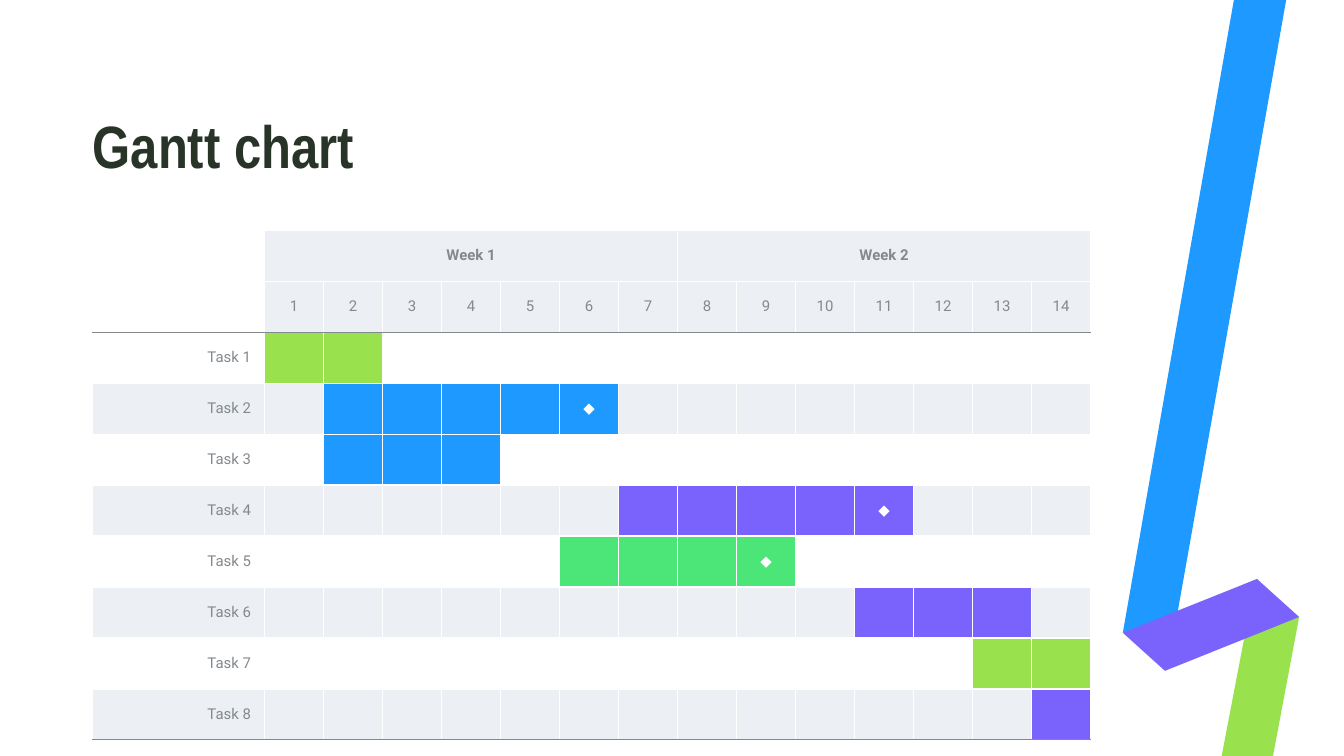
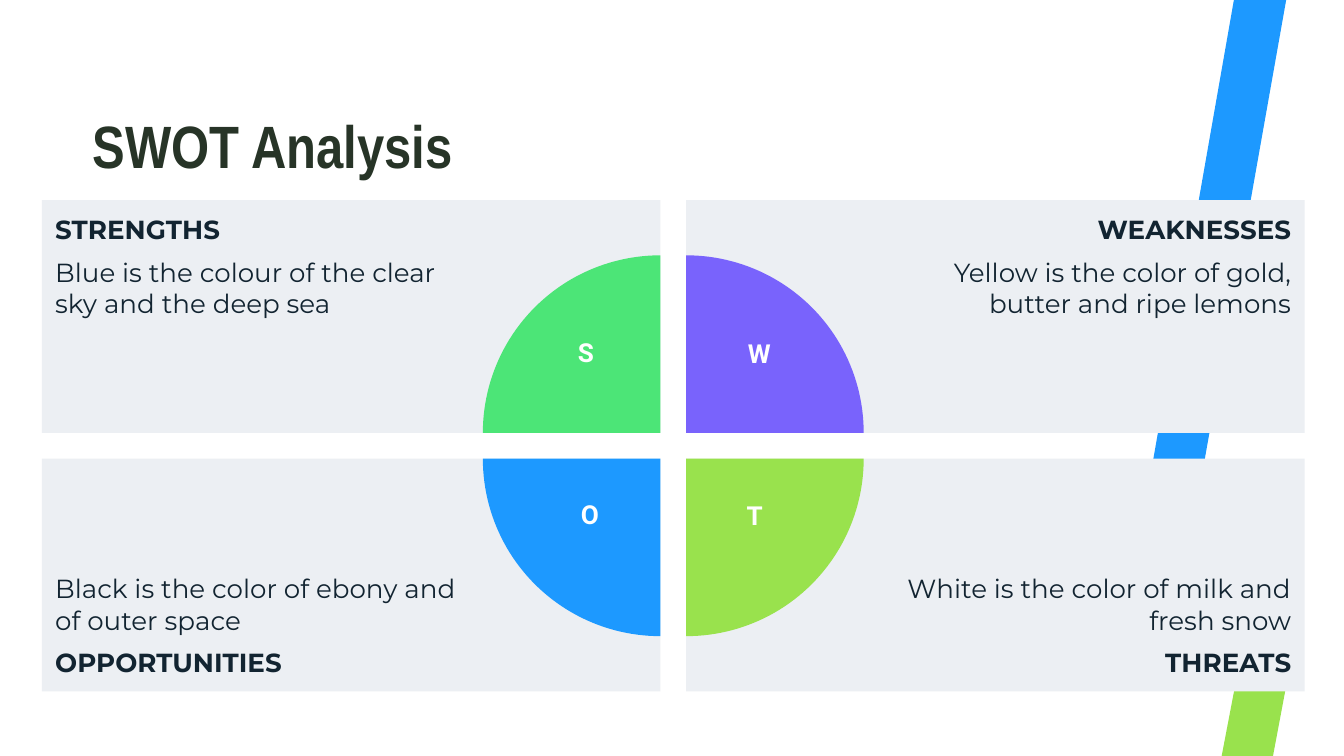
"""Build a Gantt chart slide and a SWOT slide that share a ribbon and a title style."""
import dataclasses
import itertools
import typing

import lxml.etree
import pptx
import pptx.dml.color
import pptx.enum.shapes
import pptx.enum.text
import pptx.oxml.ns
import pptx.shapes.autoshape
import pptx.slide
import pptx.table
import pptx.text.text
import pptx.util

Pt = pptx.util.Pt
qn = pptx.oxml.ns.qn
ALIGN = pptx.enum.text.PP_ALIGN
ANCHOR = pptx.enum.text.MSO_ANCHOR
SHAPE = pptx.enum.shapes.MSO_SHAPE


@dataclasses.dataclass(frozen=True)
class Theme:
    blue: str = "1D99FF"
    lime: str = "99E24D"
    violet: str = "7963FC"
    green: str = "4CE577"
    pale: str = "ECEFF3"
    grey: str = "84898D"
    white: str = "FFFFFF"
    title_ink: str = "273427"
    body_ink: str = "122431"
    title_font: str = "Arial Narrow"
    body_font: str = "Montserrat"
    label_font: str = "Roboto"
    title_size: float = 32
    body_size: float = 14
    table_size: float = 8
    border: float = 0.75


T = Theme()


class Box(typing.NamedTuple):
    x: float
    y: float
    w: float
    h: float

    def emu(self) -> list[int]:
        return [Pt(v) for v in self]


class Band(typing.NamedTuple):
    color: str
    points: list[tuple[float, float]]


class Task(typing.NamedTuple):
    first: int
    last: int
    color: str
    milestone: bool = False


class Quadrant(typing.NamedTuple):
    letter: str
    heading: str
    body: str
    color: str
    col: int
    row: int
    turn: int
    letter_box: Box


BLUE_BAND = Band(T.blue, [(661, 0), (689, 0), (630.8, 328.4), (601.5, 339)])
LIME_BAND = Band(T.lime, [(654.5, 405), (666.7, 341.3), (696, 330.6), (682, 405)])
FOLD = Band(T.violet, [(601.5, 339), (673.4, 310.2), (696, 330.6), (624.1, 359.4)])

TITLE = Box(49.7, 65.5, 415.5, 31)

GRID_X, GRID_Y = 49.7, 123.4
NAME_W, DAY_W, ROW_H = 92.1, 31.62, 27.3
DAYS, WEEK, HEAD_ROWS = 14, 7, 2
TASKS = [
    Task(1, 2, T.lime),
    Task(2, 6, T.blue, True),
    Task(2, 4, T.blue),
    Task(7, 11, T.violet, True),
    Task(6, 9, T.green, True),
    Task(11, 13, T.violet),
    Task(13, 14, T.lime),
    Task(14, 14, T.violet),
]

PANEL_X, PANEL_Y, PANEL_W, PANEL_H, GAP = 22.5, 107.2, 331.3, 124.7, 13.8
RADIUS = 95.1
NARROW, WIDE = 7.2, 108
QUADRANTS = [
    Quadrant("S", "STRENGTHS", "Blue is the colour of the clear sky and the deep sea",
             T.green, 0, 0, 0, Box(302.4, 176.4, 23, 34.5)),
    Quadrant("W", "WEAKNESSES", "Yellow is the color of gold, butter and ripe lemons",
             T.violet, 1, 0, 90, Box(382.3, 177, 49, 34)),
    Quadrant("T", "THREATS", "White is the color of milk and fresh snow",
             T.lime, 1, 1, 180, Box(391.7, 264.2, 25.2, 34)),
    Quadrant("O", "OPPORTUNITIES", "Black is the color of ebony and of outer space",
             T.blue, 0, 1, 270, Box(299.5, 263.5, 33, 34.5)),
]


def rgb(color: str) -> pptx.dml.color.RGBColor:
    return pptx.dml.color.RGBColor.from_string(color)


def add_run(p: pptx.text.text._Paragraph, text: str, font: str, size: float,
            color: str, bold: bool = False) -> None:
    r = p.add_run()
    r.text = text
    r.font.name = font
    r.font.size = Pt(size)
    r.font.bold = bold
    r.font.color.rgb = rgb(color)


def paint(sp: pptx.shapes.autoshape.Shape, color: str) -> None:
    sp.shadow.inherit = False
    sp.fill.solid()
    sp.fill.fore_color.rgb = rgb(color)
    sp.line.fill.background()


def set_insets(tf: pptx.text.text.TextFrame, left: float, top: float,
               right: float, bottom: float) -> None:
    tf.margin_left, tf.margin_top = Pt(left), Pt(top)
    tf.margin_right, tf.margin_bottom = Pt(right), Pt(bottom)


def add_band(s: pptx.slide.Slide, band: Band) -> None:
    start, *rest = [(Pt(x), Pt(y)) for x, y in band.points]
    builder = s.shapes.build_freeform(*start)
    builder.add_line_segments(rest, close=True)
    paint(builder.convert_to_shape(), band.color)


def add_slide(prs: pptx.presentation.Presentation, title: str,
              bands: list[Band]) -> pptx.slide.Slide:
    s = prs.slides.add_slide(prs.slide_layouts[6])
    for band in bands:
        add_band(s, band)
    tf = s.shapes.add_textbox(*TITLE.emu()).text_frame
    tf.word_wrap = True
    tf.vertical_anchor = ANCHOR.BOTTOM
    set_insets(tf, 0, 0, 0, 0)
    p = tf.paragraphs[0]
    p.line_spacing = 0.8
    add_run(p, title, T.title_font, T.title_size, T.title_ink, True)
    return s


def style_cell(cell: pptx.table._Cell, fill: str | None, top: str, bottom: str) -> None:
    pr = cell._tc.get_or_add_tcPr()
    for side, color in zip("LRTB", (T.white, T.white, top, bottom)):
        ln = lxml.etree.SubElement(pr, qn(f"a:ln{side}"), w=str(Pt(T.border)))
        solid = lxml.etree.SubElement(ln, qn("a:solidFill"))
        lxml.etree.SubElement(solid, qn("a:srgbClr"), val=color)
    if fill:
        cell.fill.solid()
        cell.fill.fore_color.rgb = rgb(fill)
    else:
        cell.fill.background()


def write_cell(cell: pptx.table._Cell, text: str, align: ALIGN = ALIGN.CENTER,
               color: str = T.grey, bold: bool = False) -> None:
    cell.vertical_anchor = ANCHOR.MIDDLE
    p = cell.text_frame.paragraphs[0]
    p.alignment = align
    if text:
        add_run(p, text, T.label_font, T.table_size, color, bold)
    else:
        lxml.etree.SubElement(p._p, qn("a:endParaRPr"), sz=str(int(T.table_size * 100)))


def cell_fill(row: int, day: int) -> str | None:
    if row < HEAD_ROWS:
        return T.pale if day else None
    task = TASKS[row - HEAD_ROWS]
    if task.first <= day <= task.last:
        return task.color
    return T.pale if row % 2 else None


def cell_text(row: int, day: int) -> str:
    if row == 0:
        return f"Week {day // WEEK + 1}" if day % WEEK == 1 else ""
    if row == 1:
        return str(day) if day else ""
    task = TASKS[row - HEAD_ROWS]
    if day == 0:
        return f"Task {row - HEAD_ROWS + 1}"
    return "◆" if task.milestone and day == task.last else ""


def add_gantt(s: pptx.slide.Slide) -> None:
    rows = HEAD_ROWS + len(TASKS)
    box = Box(GRID_X, GRID_Y, NAME_W + DAYS * DAY_W, rows * ROW_H)
    table = s.shapes.add_table(rows, DAYS + 1, *box.emu()).table
    table.first_row = table.horz_banding = False
    for i, column in enumerate(table.columns):
        column.width = Pt(DAY_W if i else NAME_W)
    for row in table.rows:
        row.height = Pt(ROW_H)
    for row, day in itertools.product(range(rows), range(DAYS + 1)):
        cell = table.cell(row, day)
        top = T.grey if row == HEAD_ROWS else T.white
        bottom = T.grey if row in (HEAD_ROWS - 1, rows - 1) else T.white
        style_cell(cell, cell_fill(row, day), top, bottom)
        text = cell_text(row, day)
        write_cell(cell, text, ALIGN.CENTER if day else ALIGN.RIGHT,
                   T.white if text == "◆" else T.grey, row == 0)
    for first in range(1, DAYS, WEEK):
        table.cell(0, first).merge(table.cell(0, first + WEEK - 1))


def add_panel(s: pptx.slide.Slide, q: Quadrant) -> None:
    box = Box(PANEL_X + q.col * (PANEL_W + GAP), PANEL_Y + q.row * (PANEL_H + GAP),
              PANEL_W, PANEL_H)
    sp = s.shapes.add_shape(SHAPE.RECTANGLE, *box.emu())
    paint(sp, T.pale)
    tf = sp.text_frame
    tf.word_wrap = True
    tf.vertical_anchor = ANCHOR.BOTTOM if q.row else ANCHOR.TOP
    left, right = (WIDE, NARROW) if q.col else (NARROW, WIDE)
    set_insets(tf, left, NARROW, right, NARROW)
    lines = [(q.heading, True), (q.body, False)]
    if q.row:
        lines.reverse()
    for i, (text, bold) in enumerate(lines):
        p = tf.add_paragraph() if i else tf.paragraphs[0]
        p.alignment = ALIGN.RIGHT if q.col else ALIGN.LEFT
        if i:
            p.space_before = p.space_after = Pt(6)
        add_run(p, text, T.body_font, T.body_size, T.body_ink, bold)


def add_quarter(s: pptx.slide.Slide, q: Quadrant) -> None:
    box = Box(PANEL_X + PANEL_W + q.col * GAP - RADIUS,
              PANEL_Y + PANEL_H + q.row * GAP - RADIUS, 2 * RADIUS, 2 * RADIUS)
    sp = s.shapes.add_shape(SHAPE.PIE, *box.emu())
    sp.adjustments[0], sp.adjustments[1] = 108, 162
    sp.rotation = q.turn
    paint(sp, q.color)


def add_letter(s: pptx.slide.Slide, q: Quadrant) -> None:
    tf = s.shapes.add_textbox(*q.letter_box.emu()).text_frame
    tf.word_wrap = True
    p = tf.paragraphs[0]
    p.alignment = ALIGN.CENTER
    add_run(p, q.letter, T.label_font, T.body_size, T.white, True)


def main() -> None:
    prs = pptx.Presentation()
    prs.slide_width, prs.slide_height = Pt(720), Pt(405)
    add_gantt(add_slide(prs, "Gantt chart", [BLUE_BAND, LIME_BAND, FOLD]))
    s = add_slide(prs, "SWOT Analysis", [BLUE_BAND, LIME_BAND])
    for draw in (add_panel, add_quarter, add_letter):
        for q in QUADRANTS:
            draw(s, q)
    prs.save("out.pptx")


main()
